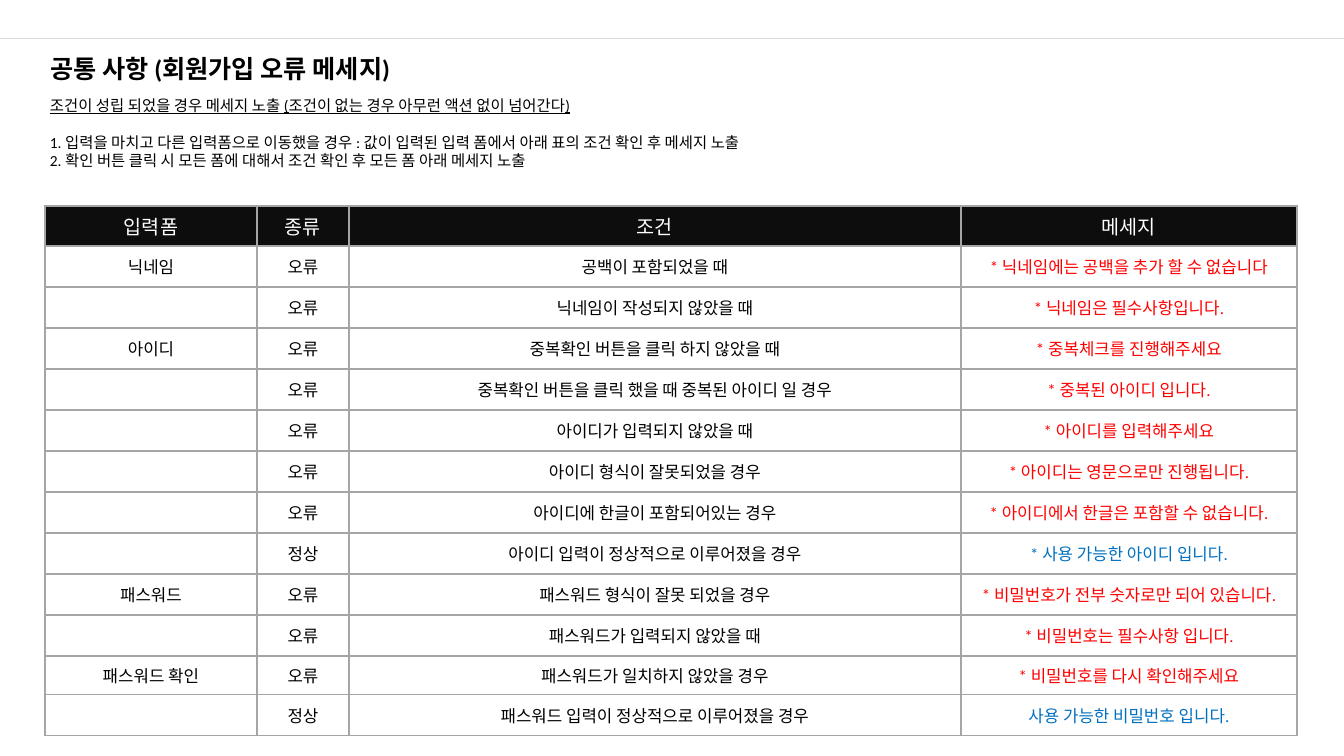
import pptx
import pptx.dml.color
import pptx.enum.shapes
import pptx.enum.text
import pptx.oxml
import pptx.oxml.ns
import pptx.util

EMU_PER_PX = 914400 / 100.8
FONT = "Calibri"
BLACK, WHITE, HEADER_FILL = "000000", "FFFFFF", "0D0D0D"
BORDER, RULE = "A5A5A5", "D9D9D9"
KIND_COLORS = {"오류": "FF0000", "정상": "0070C0"}

TITLE = "공통 사항 (회원가입 오류 메세지)"
SUMMARY = "조건이 성립 되었을 경우 메세지 노출 (조건이 없는 경우 아무런 액션 없이 넘어간다)"
STEPS = [
    "1. 입력을 마치고 다른 입력폼으로 이동했을 경우 : 값이 입력된 입력 폼에서 아래 표의 조건 확인 후 메세지 노출",
    "2. 확인 버튼 클릭 시 모든 폼에 대해서 조건 확인 후 모든 폼 아래 메세지 노출",
]
HEADERS = ["입력폼", "종류", "조건", "메세지"]
RULES = {
    "닉네임": [
        ("오류", "공백이 포함되었을 때", "* 닉네임에는 공백을 추가 할 수 없습니다"),
        ("오류", "닉네임이 작성되지 않았을 때", "* 닉네임은 필수사항입니다."),
    ],
    "아이디": [
        ("오류", "중복확인 버튼을 클릭 하지 않았을 때", "* 중복체크를 진행해주세요"),
        ("오류", "중복확인 버튼을 클릭 했을 때 중복된 아이디 일 경우", "* 중복된 아이디 입니다."),
        ("오류", "아이디가 입력되지 않았을 때", "* 아이디를 입력해주세요"),
        ("오류", "아이디 형식이 잘못되었을 경우", "* 아이디는 영문으로만 진행됩니다."),
        ("오류", "아이디에 한글이 포함되어있는 경우", "* 아이디에서 한글은 포함할 수 없습니다."),
        ("정상", "아이디 입력이 정상적으로 이루어졌을 경우", "* 사용 가능한 아이디 입니다."),
    ],
    "패스워드": [
        ("오류", "패스워드 형식이 잘못 되었을 경우", "* 비밀번호가 전부 숫자로만 되어 있습니다."),
        ("오류", "패스워드가 입력되지 않았을 때", "* 비밀번호는 필수사항 입니다."),
    ],
    "패스워드 확인": [
        ("오류", "패스워드가 일치하지 않았을 경우", "* 비밀번호를 다시 확인해주세요"),
        ("정상", "패스워드 입력이 정상적으로 이루어졌을 경우", "사용 가능한 비밀번호 입니다."),
    ],
}
COL_WIDTHS = [212, 92, 612, 336]
ROW_HEIGHTS = [40] + [41] * 10 + [39, 41]


def px(n):
    return pptx.util.Emu(round(n * EMU_PER_PX))


def rgb(color):
    return pptx.dml.color.RGBColor.from_string(color)


def style(p, size, color, bold=False, underline=False):
    p.font.name = FONT
    p.font.size = pptx.util.Pt(size)
    p.font.color.rgb = rgb(color)
    p.font.bold = bold
    p.font.underline = underline


def fit_to_text(tf):
    tf.word_wrap = False
    tf.auto_size = pptx.enum.text.MSO_AUTO_SIZE.SHAPE_TO_FIT_TEXT
    tf.vertical_anchor = pptx.enum.text.MSO_ANCHOR.TOP


def add_rule(slide, x, y, w):
    line = slide.shapes.add_connector(
        pptx.enum.shapes.MSO_CONNECTOR.STRAIGHT, px(x), px(y), px(x + w), px(y))
    line.line.color.rgb = rgb(RULE)
    line.line.width = pptx.util.Pt(0.5)
    pptx.oxml.ns.qn("a:effectLst")
    line._element.spPr.append(
        pptx.oxml.parse_xml(f'<a:effectLst {pptx.oxml.ns.nsdecls("a")}/>'))


def place_title(slide, x, y, w, h):
    sp = slide.shapes.title
    sp.left, sp.top, sp.width, sp.height = px(x), px(y), px(w), px(h)
    tf = sp.text_frame
    tf.text = TITLE
    fit_to_text(tf)
    p = tf.paragraphs[0]
    p.alignment = pptx.enum.text.PP_ALIGN.LEFT
    style(p, 18, BLACK, bold=True)


def add_description(slide, x, y, w, h):
    tf = slide.shapes.add_textbox(px(x), px(y), px(w), px(h)).text_frame
    tf.text = "\n".join([SUMMARY, *STEPS])
    fit_to_text(tf)
    for i, p in enumerate(tf.paragraphs):
        style(p, 11, BLACK, underline=i == 0)
    tf.paragraphs[1].space_before = pptx.util.Pt(13)


def set_borders(cell, bottom_width):
    tcPr = cell._tc.get_or_add_tcPr()
    widths = {"lnL": 1, "lnR": 1, "lnT": 1, "lnB": bottom_width}
    for i, (tag, width) in enumerate(widths.items()):
        tcPr.insert(i, pptx.oxml.parse_xml(
            f'<a:{tag} {pptx.oxml.ns.nsdecls("a")} w="{pptx.util.Pt(width)}">'
            f'<a:solidFill><a:srgbClr val="{BORDER}"/></a:solidFill></a:{tag}>'))


def fill_cell(cell, text, size, color, fill, bottom_width=1):
    cell.fill.solid()
    cell.fill.fore_color.rgb = rgb(fill)
    cell.vertical_anchor = pptx.enum.text.MSO_ANCHOR.MIDDLE
    set_borders(cell, bottom_width)
    p = cell.text_frame.paragraphs[0]
    if text:
        p.text = text
    p.alignment = pptx.enum.text.PP_ALIGN.CENTER
    style(p, size, color)


def add_rules_table(slide, x, y):
    table = slide.shapes.add_table(
        len(ROW_HEIGHTS), len(COL_WIDTHS), px(x), px(y),
        px(sum(COL_WIDTHS)), px(sum(ROW_HEIGHTS))).table
    table.first_row = table.horz_banding = False
    for column, width in zip(table.columns, COL_WIDTHS):
        column.width = px(width)
    for row, height in zip(table.rows, ROW_HEIGHTS):
        row.height = px(height)
    for c, header in enumerate(HEADERS):
        fill_cell(table.cell(0, c), header, 14, WHITE, HEADER_FILL, bottom_width=2)
    rows = [(field if i == 0 else "", *rule)
            for field, rules in RULES.items() for i, rule in enumerate(rules)]
    for r, row in enumerate(rows, 1):
        colors = [BLACK, BLACK, BLACK, KIND_COLORS[row[1]]]
        for c, (text, color) in enumerate(zip(row, colors)):
            fill_cell(table.cell(r, c), text, 12, color, WHITE)


def main():
    prs = pptx.Presentation()
    prs.slide_width, prs.slide_height = px(1344), px(756)
    slide = prs.slides.add_slide(prs.slide_layouts[5])
    add_rule(slide, 0, 38, 1344)
    place_title(slide, 40, 48, 396, 40)
    add_rules_table(slide, 45, 206)
    add_description(slide, 40, 91, 772, 85)
    prs.save("out.pptx")


if __name__ == "__main__":
    main()
